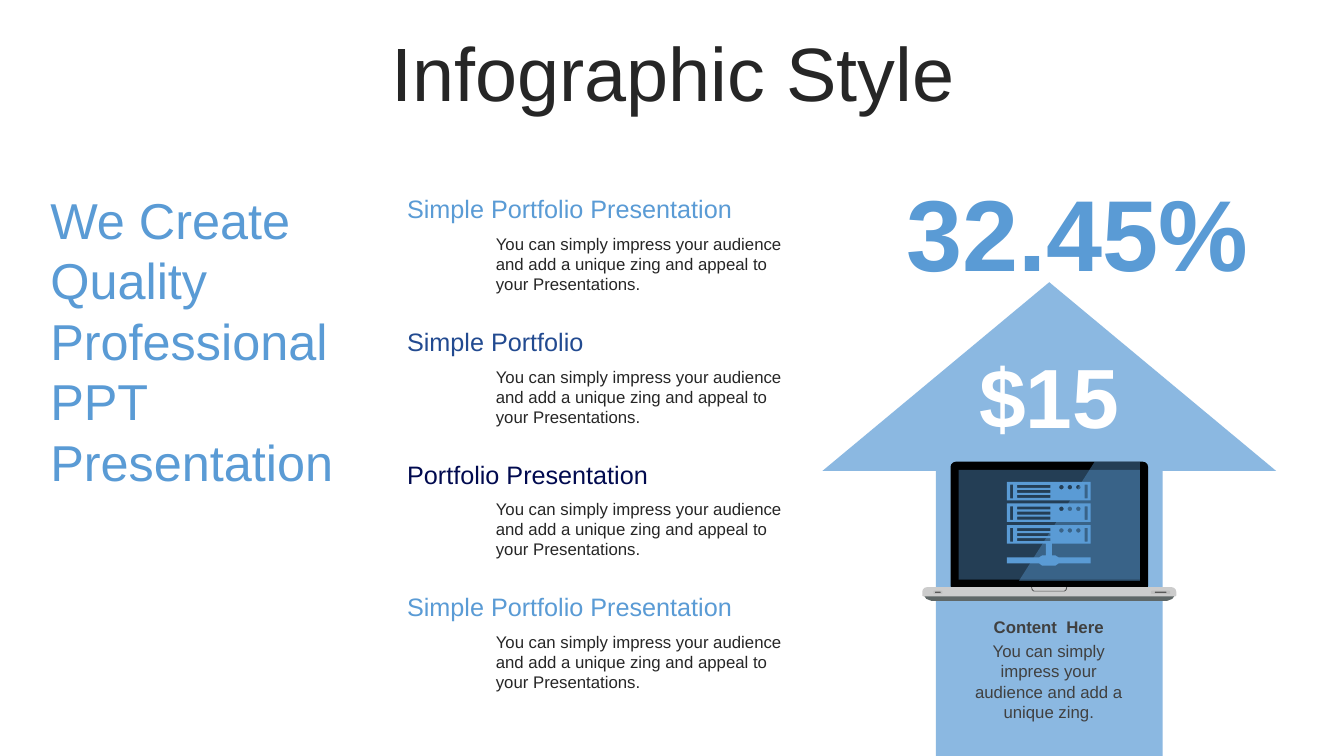
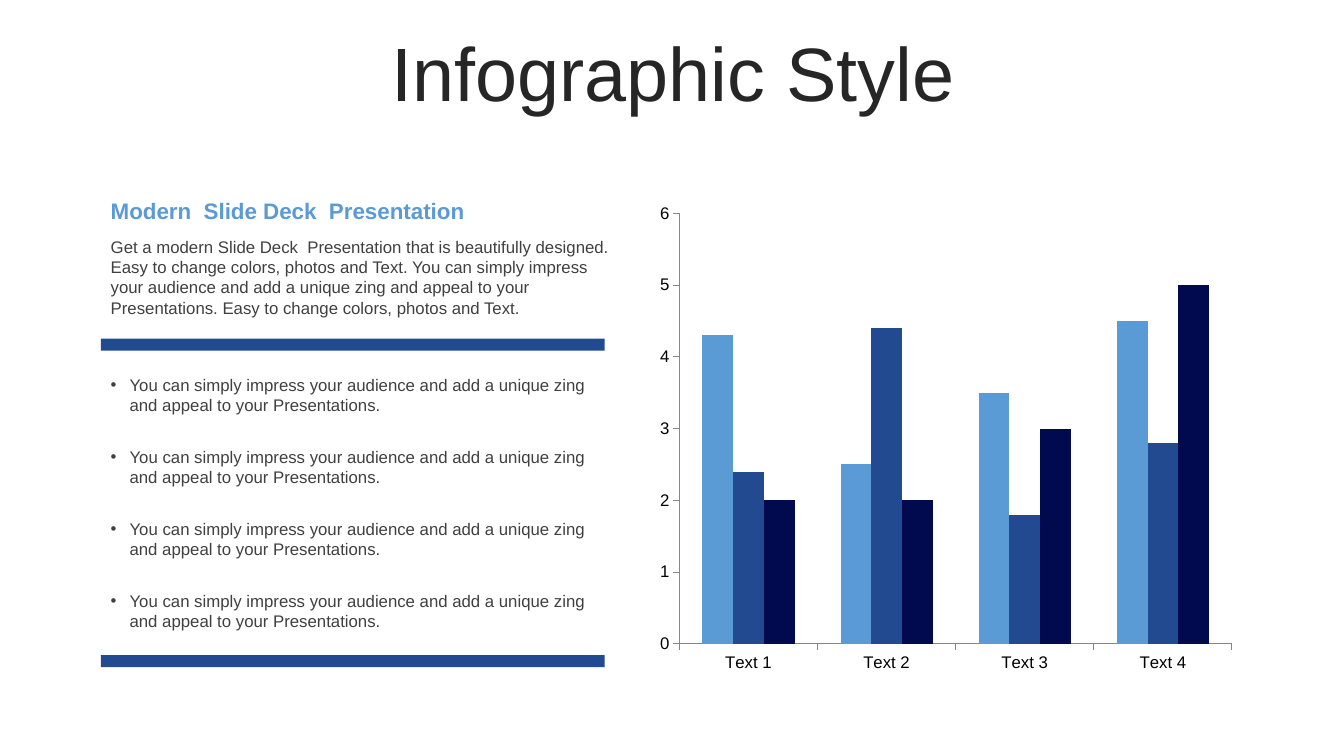
import math

from lxml import etree
from pptx import Presentation
from pptx.chart.data import CategoryChartData
from pptx.dml.color import RGBColor
from pptx.enum.chart import XL_CHART_TYPE, XL_TICK_MARK
from pptx.enum.shapes import MSO_SHAPE
from pptx.enum.text import MSO_ANCHOR, PP_ALIGN
from pptx.oxml.ns import qn
from pptx.util import Pt

COLUMNS = XL_CHART_TYPE.COLUMN_CLUSTERED
TICK_OUTSIDE = XL_TICK_MARK.OUTSIDE
RECTANGLE = MSO_SHAPE.RECTANGLE
ROUNDED = MSO_SHAPE.ROUNDED_RECTANGLE
ROUNDED_TOP = MSO_SHAPE.ROUND_2_SAME_RECTANGLE
UP_ARROW = MSO_SHAPE.UP_ARROW
TOP, MIDDLE = MSO_ANCHOR.TOP, MSO_ANCHOR.MIDDLE
LEFT, CENTER = PP_ALIGN.LEFT, PP_ALIGN.CENTER

FONT = "Arial"
BLUE, ROYAL, NAVY = "5A9BD5", "224A90", "010A4F"
INK, GRAY, WHITE, BLACK = "262626", "404040", "FFFFFF", "000000"
AXIS_GRAY = "868686"
INSETS = (7.2, 3.6, 7.2, 3.6)

IMPRESS = "You can simply impress your audience and add a unique zing"
IMPRESS_LONG = IMPRESS + " and appeal to your Presentations."


def color(hex_value):
    return RGBColor.from_string(hex_value)


def style_font(font, size, hex_value, bold=False):
    font.name = FONT
    font.size = Pt(size)
    font.bold = bold
    font.color.rgb = color(hex_value)


def add_bullet(paragraph, indent):
    properties = paragraph._p.get_or_add_pPr()
    properties.set("marL", str(Pt(indent)))
    properties.set("indent", str(-Pt(indent)))
    etree.SubElement(properties, qn("a:buFont")).set("typeface", FONT)
    etree.SubElement(properties, qn("a:buChar")).set("char", "•")


def add_text(shapes, box, lines, size, hex_value, bold=False, align=LEFT,
             anchor=TOP, line_spacing=None, insets=INSETS, bullet_indent=0, gap=0):
    frame = shapes.add_textbox(*map(Pt, box)).text_frame
    frame.word_wrap = True
    frame.vertical_anchor = anchor
    (frame.margin_left, frame.margin_top,
     frame.margin_right, frame.margin_bottom) = map(Pt, insets)
    for index, line in enumerate(lines):
        paragraph = frame.add_paragraph() if index else frame.paragraphs[0]
        paragraph.text = line
        if bullet_indent:
            add_bullet(paragraph, bullet_indent)
        paragraph.alignment = align
        if line_spacing:
            paragraph.line_spacing = line_spacing
        if index and gap:
            paragraph.space_before = Pt(gap)
        style_font(paragraph.font, size, hex_value, bold)


def paint(shape, hex_value, opacity=100):
    shape.shadow.inherit = False
    shape.fill.solid()
    shape.fill.fore_color.rgb = color(hex_value)
    shape.line.fill.background()
    if opacity < 100:
        fill_color = shape.element.spPr.find(".//" + qn("a:srgbClr"))
        etree.SubElement(fill_color, qn("a:alpha")).set("val", str(opacity * 1000))


def add_filled(shapes, kind, box, hex_value, opacity=100, adjustments=()):
    shape = shapes.add_shape(kind, *map(Pt, box))
    for index, value in enumerate(adjustments):
        shape.adjustments[index] = value
    paint(shape, hex_value, opacity)


def add_outline(shapes, origin, contours, hex_value, opacity=100):
    left, top = origin
    placed = [[(Pt(left + x), Pt(top + y)) for x, y in contour] for contour in contours]
    builder = shapes.build_freeform(*placed[0][0], scale=1.0)
    for index, contour in enumerate(placed):
        if index:
            builder.move_to(*contour[0])
        builder.add_line_segments(contour[1:], close=True)
    paint(builder.convert_to_shape(), hex_value, opacity)


def rectangle_points(left, top, width, height):
    right, bottom = left + width, top + height
    return [(left, top), (right, top), (right, bottom), (left, bottom)]


def circle_points(center_x, center_y, radius, count=16):
    angles = [2 * math.pi * step / count for step in range(count)]
    return [(center_x + radius * math.cos(angle), center_y + radius * math.sin(angle))
            for angle in angles]


def add_title_slide(presentation, title):
    slide = presentation.slides.add_slide(presentation.slide_layouts[6])
    add_text(slide.shapes, (25.2, 26.6, 911.5, 56.9), [title], 54, INK,
             align=CENTER, anchor=MIDDLE, line_spacing=0.9)
    return slide


def add_portfolio_items(shapes, box, items):
    left, top, width, height = box
    step = height / len(items)
    indent = 63.4
    for index, (heading, hex_value) in enumerate(items):
        row_top = top + index * step
        add_text(shapes, (left, row_top, width, 24.5), [heading], 18, hex_value,
                 line_spacing=0.8)
        add_text(shapes, (left + indent, row_top + 24.3, width - indent, 51),
                 [IMPRESS_LONG], 12, INK)


def add_server_icon(shapes, origin):
    width, unit_height, pitch = 59.8, 13.2, 15.45
    contours = []
    for unit in range(3):
        top = unit * pitch
        contours.append(rectangle_points(0, top, width, unit_height))
        contours += [rectangle_points(7.2, top + 2.2 + 3.6 * slot, 23.8, 2.1)
                     for slot in range(3)]
        contours += [rectangle_points(ear, top + 2, 2.2, 9.8) for ear in (2.2, 55.4)]
        contours += [circle_points(38.9 + 6.05 * dot, top + 3.8, 1.6) for dot in range(3)]
    middle = width / 2
    stand = [(2.1, 2 * pitch + unit_height), (2.1, 52.6), (4.8, 52.6), (7, 54),
             (middle, 54), (middle, 58.2), (7, 58.2), (4.8, 59.8)]
    contours.append([(middle + x, y) for x, y in stand]
                    + [(middle - x, y) for x, y in reversed(stand)])
    add_outline(shapes, origin, contours, BLUE)


def add_laptop(slide, origin):
    left, top = origin
    shapes = slide.shapes.add_group_shape().shapes

    def place(x, y, width, height):
        return left + x, top + y, width, height

    foot = [(1.4, 94.3), (180, 94.3), (180, 96), (178.6, 98), (175, 99.4),
            (6.5, 99.4), (2.9, 98), (1.4, 96)]
    notch = [(77.8, 89.6), (78.2, 91.6), (79.4, 92.6), (101.8, 92.6), (103, 91.6),
             (103.4, 89.6), (102.9, 89.6), (102.4, 91.4), (101.4, 92.2),
             (79.8, 92.2), (78.8, 91.4), (78.3, 89.6)]
    glare = [(123.1, 0), (155.5, 0), (155.5, 85), (69.1, 85)]
    add_outline(shapes, origin, [foot], "5F6767")
    add_filled(shapes, ROUNDED, place(20.2, 0, 141.1, 92.2), BLACK, adjustments=[0.04])
    add_filled(shapes, RECTANGLE, place(25.9, 5.8, 129.6, 78.5), BLUE, 40)
    add_filled(shapes, ROUNDED_TOP, place(0, 89.6, 181.4, 6.5), "CCCCCC",
               adjustments=[0.5, 0.1])
    add_outline(shapes, origin, [notch], "4D4D4D")
    for x, width in ((7.9, 6.5), (163.4, 13.7)):
        add_filled(shapes, ROUNDED, place(x, 92.2, width, 2.2), "BFBFBF",
                   adjustments=[0.28])
        add_filled(shapes, ROUNDED, place(x + width * 0.2, 92.9, width * 0.6, 0.8),
                   "595959", adjustments=[0.28])
    add_outline(shapes, origin, [glare], BLUE, 40)
    add_server_icon(slide.shapes, (left + 60.5, top + 14.4))


def add_growth_arrow(slide, box):
    left, top, width, height = box
    shapes = slide.shapes
    add_filled(shapes, UP_ARROW, box, BLUE, 70, [0.5, 0.416])
    add_text(shapes, (left + 61.2, top + 41, 201.6, 80), ["$15"], 60, WHITE,
             bold=True, align=CENTER)
    add_text(shapes, (left + 30.2, top - 83.5, 303.8, 94.3), ["32.45%"], 72, BLUE,
             bold=True, align=CENTER)
    add_laptop(slide, (left + 71.3, top + 128.2))
    caption_left, caption_width = left + 96.5, 130.3
    add_text(shapes, (caption_left, top + 235.4, caption_width, 21.6),
             ["Content  Here"], 12, GRAY, bold=True, align=CENTER)
    add_text(shapes, (caption_left, top + 252.7, caption_width, 65.5),
             [IMPRESS + "."], 12, GRAY, align=CENTER)


def add_summary(shapes, box):
    left, top, width, height = box
    text_width = width + 13.7
    add_text(shapes, (left, top, text_width, 26.6),
             ["Modern  Slide Deck  Presentation"], 16, BLUE, bold=True)
    add_text(shapes, (left, top + 28.1, text_width, 65.5),
             ["Get a modern Slide Deck  Presentation that is beautifully designed.  "
              "Easy to change colors, photos and Text. You can simply impress your "
              "audience and add a unique zing and appeal to your Presentations. "
              "Easy to change colors, photos and Text."], 12, GRAY)
    bar_height = 8.6
    for bar_top in (top + 104.4, top + height - bar_height):
        add_filled(shapes, RECTANGLE, (left, bar_top, width, bar_height), ROYAL)
    add_text(shapes, (left, top + 126.7, text_width, 190), [IMPRESS_LONG] * 4, 12, GRAY,
             bullet_indent=13.5, gap=22.5)


def add_column_chart(shapes, box):
    series_data = [("Series 1", (4.3, 2.5, 3.5, 4.5), BLUE),
                   ("Series 2", (2.4, 4.4, 1.8, 2.8), ROYAL),
                   ("Series 3", (2, 2, 3, 5), NAVY)]
    data = CategoryChartData()
    data.categories = [f"Text {number}" for number in range(1, 5)]
    for name, values, _ in series_data:
        data.add_series(name, values)
    chart = shapes.add_chart(COLUMNS, *map(Pt, box), data).chart
    chart.has_title = False
    chart.has_legend = False
    style_font(chart.font, 12, BLACK)
    plot = chart.plots[0]
    plot.vary_by_categories = False
    plot.gap_width = 150
    plot.overlap = 0
    for series, (_, _, hex_value) in zip(plot.series, series_data):
        series.format.fill.solid()
        series.format.fill.fore_color.rgb = color(hex_value)
    for axis in (chart.category_axis, chart.value_axis):
        axis.has_major_gridlines = False
        axis.major_tick_mark = TICK_OUTSIDE
        axis.format.line.color.rgb = color(AXIS_GRAY)
        axis.format.line.width = Pt(0.75)
        style_font(axis.tick_labels.font, 12, BLACK)
    chart.value_axis.minimum_scale = 0
    chart.value_axis.maximum_scale = 6
    chart.value_axis.major_unit = 1


def build_arrow_slide(presentation):
    slide = add_title_slide(presentation, "Infographic Style")
    add_growth_arrow(slide, (587.5, 201.6, 324, 338.4))
    add_portfolio_items(slide.shapes, (283.7, 139, 293.8, 379),
                        [("Simple Portfolio Presentation", BLUE),
                         ("Simple Portfolio", ROYAL),
                         ("Portfolio Presentation", NAVY),
                         ("Simple Portfolio Presentation", BLUE)])
    add_text(slide.shapes, (33.1, 133.9, 240.5, 218.2),
             ["We Create", "Quality Professional", "PPT Presentation"], 36, BLUE,
             anchor=MIDDLE, insets=(2.9, 0, 2.9, 0))


def build_chart_slide(presentation):
    slide = add_title_slide(presentation, "Infographic Style")
    add_column_chart(slide.shapes, (463, 139, 425.5, 347.8))
    add_summary(slide.shapes, (72, 137.5, 360, 339.1))


def main():
    presentation = Presentation()
    presentation.slide_width = Pt(960)
    presentation.slide_height = Pt(540)
    build_arrow_slide(presentation)
    build_chart_slide(presentation)
    presentation.save("out.pptx")


if __name__ == "__main__":
    main()
